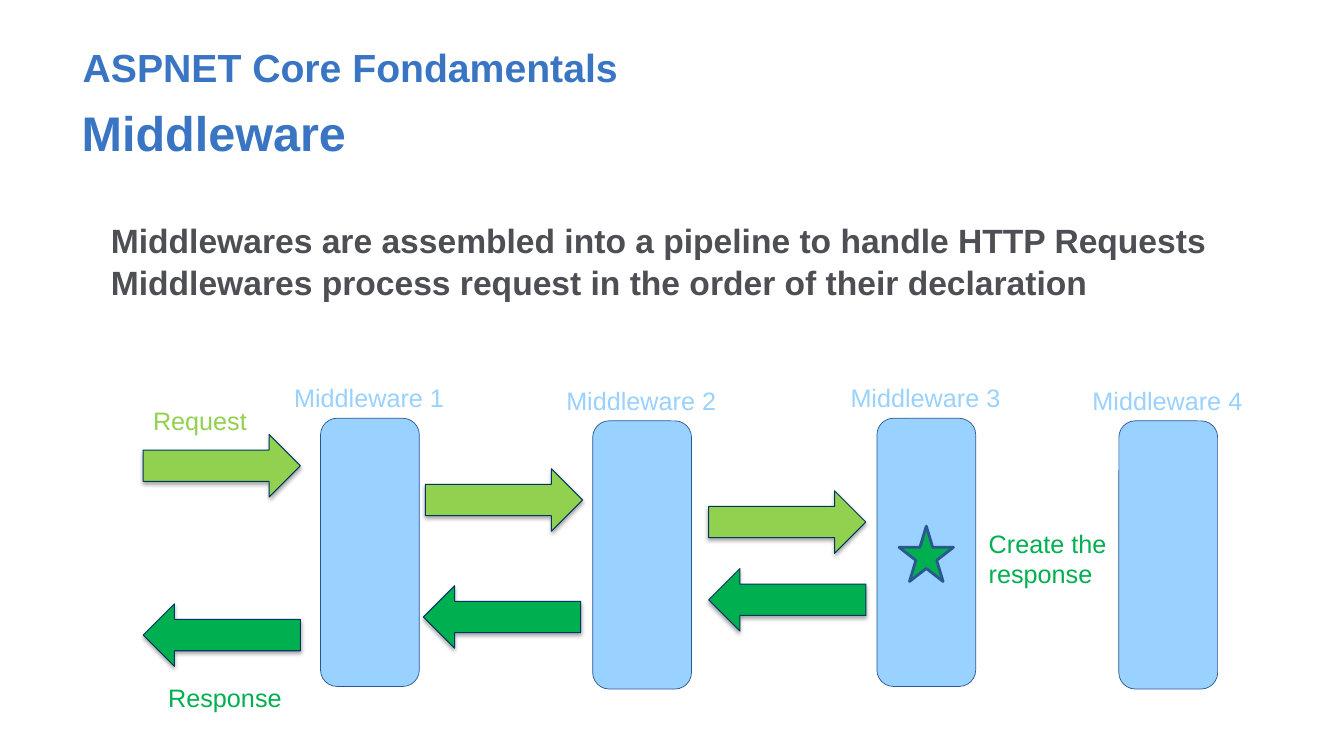
from dataclasses import dataclass
from typing import NamedTuple

from lxml.etree import SubElement
from pptx import Presentation
from pptx.dml.color import RGBColor
from pptx.enum.shapes import MSO_SHAPE
from pptx.enum.text import MSO_ANCHOR, MSO_AUTO_SIZE, PP_ALIGN
from pptx.oxml.ns import qn
from pptx.util import Inches, Pt


@dataclass(frozen=True)
class Theme:
    font: str = "Arial"
    blue: str = "3A75C4"
    gray: str = "4E4F54"
    sky: str = "99D1FF"
    edge: str = "2B5791"
    navy: str = "003662"
    lime: str = "92D050"
    green: str = "00B050"
    shade: str = "000000"
    head: float = 28
    sub: float = 34.7
    body: float = 24
    label: float = 18


class Box(NamedTuple):
    """Left, top, width and height in percent of the slide."""
    x: float
    y: float
    w: float
    h: float


class Bar(NamedTuple):
    x: float
    y: float


class Arrow(NamedTuple):
    x: float
    y: float
    back: bool


class Label(NamedTuple):
    text: str
    box: Box
    color: str
    wrap: bool = False


class Block(NamedTuple):
    """Text of one placeholder."""
    idx: int
    box: Box
    text: str
    size: float
    color: str
    pad: tuple[float, float, float] = (0, 0, 0)
    lead: float = 1


THEME = Theme()
WIDE, HIGH = Inches(13.333), Inches(7.5)
BAR_W, BAR_H = 7.35, 35.47
ARROW_W, ARROW_H = 11.7, 8.27
LINE_H = 5.33

BLOCKS = [
    Block(0, Box(6.15, 5.73, 87.9, 6.27), "ASPNET Core Fondamentals",
          THEME.head, THEME.blue),
    Block(1, Box(6.08, 13.6, 87.9, 7.73), "Middleware", THEME.sub, THEME.blue),
    Block(2, Box(6.15, 26.27, 93.85, 62.27),
          "Middlewares are assembled into a pipeline to handle HTTP Requests\n"
          "Middlewares process request in the order of their declaration",
          THEME.body, THEME.gray, (0.28, 0.2, 0.28), 1.04),
]
BARS = [Bar(23.85, 55.33), Bar(44.1, 55.67), Bar(65.25, 55.33), Bar(83.25, 55.67)]
ARROWS = [
    Arrow(10.65, 57.47, False), Arrow(31.65, 62, False), Arrow(52.73, 64.93, False),
    Arrow(52.73, 75.2, True), Arrow(31.5, 77.47, True), Arrow(10.65, 79.87, True),
]
LABELS = [
    Label("Request", Box(10.65, 52.93, 8.55, LINE_H), THEME.lime),
    Label("Response", Box(11.78, 89.6, 10.05, LINE_H), THEME.green),
    Label("Create the response", Box(72.83, 69.2, 10.58, 13.47), THEME.green, True),
] + [
    Label(f"Middleware {n}", Box(bar.x - 2.7, bar.y - 5.4, 12.75, LINE_H), THEME.sky)
    for n, bar in enumerate(BARS, 1)
]
STAR = Box(66.9, 69.6, 4.05, 7.33)


def place(box: Box) -> tuple[int, int, int, int]:
    """Turn percent of the slide into lengths."""
    return (int(WIDE * box.x / 100), int(HIGH * box.y / 100),
            int(WIDE * box.w / 100), int(HIGH * box.h / 100))


def style(frame, size: float, color: str, bold: bool = False) -> None:
    for para in frame.paragraphs:
        for run in para.runs:
            run.font.name = THEME.font
            run.font.size = Pt(size)
            run.font.bold = bold
            run.font.color.rgb = RGBColor.from_string(color)


def fill_block(slide, block: Block) -> None:
    holder = slide.placeholders[block.idx]
    holder.left, holder.top, holder.width, holder.height = place(block.box)
    frame = holder.text_frame
    frame.text = block.text
    frame.word_wrap = True
    frame.auto_size = MSO_AUTO_SIZE.NONE
    frame.vertical_anchor = MSO_ANCHOR.TOP
    frame.margin_left, frame.margin_top, frame.margin_right = map(Inches, block.pad)
    frame.margin_bottom = 0
    for para in frame.paragraphs:
        para.alignment = PP_ALIGN.LEFT
        para.space_before = para.space_after = Pt(0)
        para.line_spacing = block.lead
        props = para._p.get_or_add_pPr()
        props.set("marL", "0")
        props.set("indent", "0")
        SubElement(props, qn("a:buNone"))
    style(frame, block.size, block.color, True)


def add_shape(slide, kind: MSO_SHAPE, box: Box, fill: str, line: str, width: float):
    shape = slide.shapes.add_shape(kind, *place(box))
    shape.shadow.inherit = False
    shape.fill.solid()
    shape.fill.fore_color.rgb = RGBColor.from_string(fill)
    shape.line.color.rgb = RGBColor.from_string(line)
    shape.line.width = Pt(width)
    return shape


def add_arrow(slide, arrow: Arrow) -> None:
    shape = add_shape(slide, MSO_SHAPE.RIGHT_ARROW,
                      Box(arrow.x, arrow.y, ARROW_W, ARROW_H),
                      THEME.green if arrow.back else THEME.lime, THEME.navy, 0.75)
    shape.rotation = 180 if arrow.back else 0
    effects = shape._element.spPr.find(qn("a:effectLst"))
    shadow = SubElement(effects, qn("a:outerShdw"), blurRad=str(Pt(3.1)),
                        dist=str(Pt(1.8)), dir="5400000", rotWithShape="0")
    tint = SubElement(shadow, qn("a:srgbClr"), val=THEME.shade)
    SubElement(tint, qn("a:alpha"), val="35000")


def add_label(slide, label: Label) -> None:
    frame = slide.shapes.add_textbox(*place(label.box)).text_frame
    frame.text = label.text
    frame.word_wrap = label.wrap
    style(frame, THEME.label, label.color)


def main() -> None:
    deck = Presentation()
    deck.slide_width, deck.slide_height = WIDE, HIGH
    slide = deck.slides.add_slide(deck.slide_layouts.get_by_name("Two Content"))
    for block in BLOCKS:
        fill_block(slide, block)
    for bar in BARS:
        add_shape(slide, MSO_SHAPE.ROUNDED_RECTANGLE,
                  Box(bar.x, bar.y, BAR_W, BAR_H), THEME.sky, THEME.edge, 0.5)
    for arrow in ARROWS:
        add_arrow(slide, arrow)
    add_shape(slide, MSO_SHAPE.STAR_5_POINT, STAR, THEME.green, THEME.edge, 2)
    for label in LABELS:
        add_label(slide, label)
    deck.save("out.pptx")


if __name__ == "__main__":
    main()
